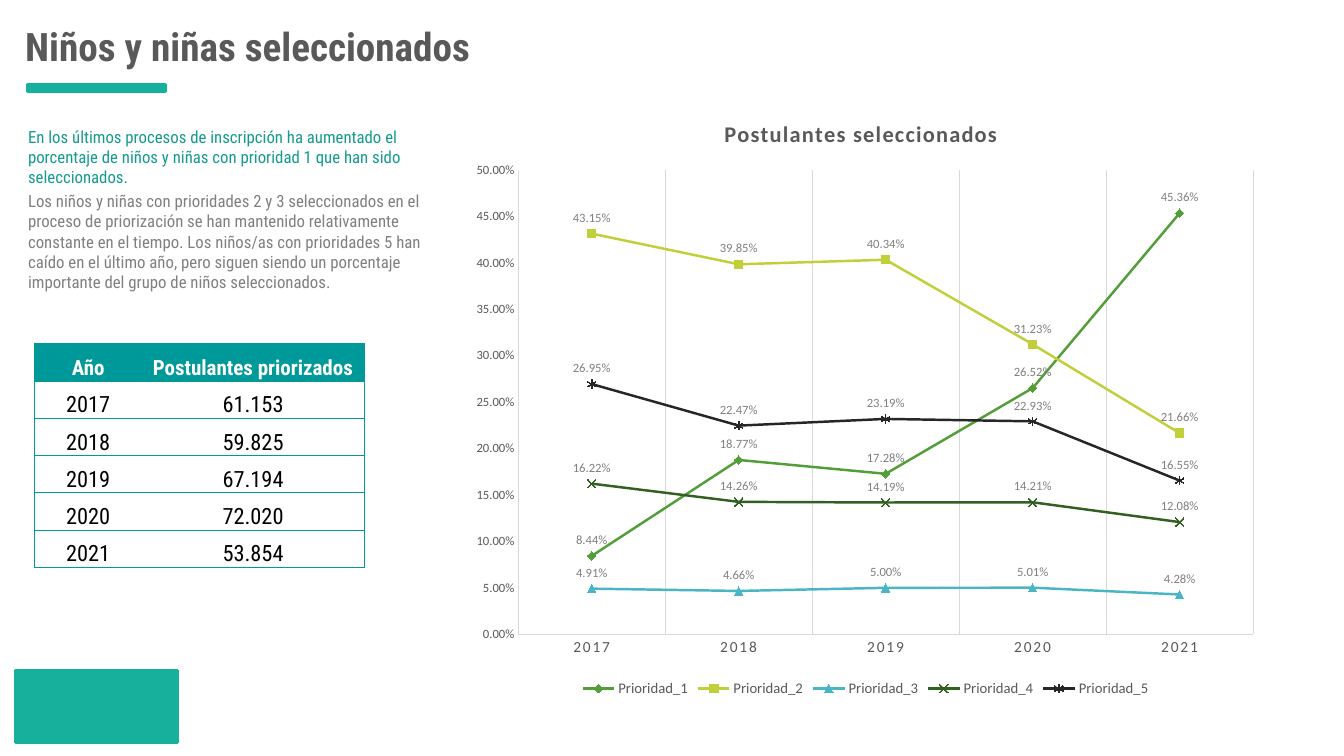
from lxml import etree
from pptx import Presentation
from pptx import util as u
from pptx.chart.data import CategoryChartData
from pptx.dml.color import RGBColor
from pptx.enum import chart as charts, shapes, text
from pptx.oxml import parse_xml
from pptx.oxml.ns import nsdecls, qn

PX = 9144  # 100 px to the inch
CONDENSED, CALIBRI = "Roboto Condensed", "Calibri"

GREEN = RGBColor(0x16, 0xB0, 0x9C)
TEXT_GREEN = RGBColor(0x15, 0x9B, 0x8E)
TABLE_GREEN = RGBColor(0x00, 0x99, 0x99)
DARK_GRAY = RGBColor(0x59, 0x59, 0x59)
GRAY = RGBColor(0x80, 0x80, 0x80)
LIGHT_GRAY = RGBColor(0xD9, 0xD9, 0xD9)
WHITE = RGBColor(0xFF, 0xFF, 0xFF)
BLACK = RGBColor(0x00, 0x00, 0x00)

YEARS = ["2017", "2018", "2019", "2020", "2021"]
APPLICANTS = ["61.153", "59.825", "67.194", "72.020", "53.854"]
MARKER = charts.XL_MARKER_STYLE
# Name, colour, marker, marker is filled, values
PRIORITIES = [
    ("Prioridad_1", RGBColor(0x54, 0x9E, 0x39), MARKER.DIAMOND, True,
     [0.0844, 0.1877, 0.1728, 0.2652, 0.4536]),
    ("Prioridad_2", RGBColor(0xC0, 0xCF, 0x3A), MARKER.SQUARE, True,
     [0.4315, 0.3985, 0.4034, 0.3123, 0.2166]),
    ("Prioridad_3", RGBColor(0x4A, 0xB5, 0xC4), MARKER.TRIANGLE, True,
     [0.0491, 0.0466, 0.0500, 0.0501, 0.0428]),
    ("Prioridad_4", RGBColor(0x32, 0x5F, 0x22), MARKER.X, False,
     [0.1622, 0.1426, 0.1419, 0.1421, 0.1208]),
    ("Prioridad_5", RGBColor(0x26, 0x26, 0x26), MARKER.STAR, False,
     [0.2695, 0.2247, 0.2319, 0.2293, 0.1655]),
]


def box(left, top, width, height):
    return [u.Emu(value * PX) for value in (left, top, width, height)]


def format_font(font, size, color, name=CALIBRI, bold=False):
    font.name, font.size, font.bold = name, u.Pt(size), bold
    font.color.rgb = color


def format_line(line, color, width):
    line.color.rgb = color
    line.width = u.Pt(width)


def write(paragraph, content, size, color, name=CONDENSED, bold=False,
          align=text.PP_ALIGN.LEFT, after=0):
    run = paragraph.add_run()
    run.text = content
    format_font(run.font, size, color, name, bold)
    paragraph.alignment = align
    paragraph.space_before, paragraph.space_after = u.Pt(0), u.Pt(after)
    return run


def add_bar(slide, *place):
    shape = slide.shapes.add_shape(shapes.MSO_SHAPE.RECTANGLE, *box(*place))
    shape.shadow.inherit = False
    shape.fill.solid()
    shape.fill.fore_color.rgb = GREEN
    format_line(shape.line, GREEN, 2)


def add_title(slide, content, *place):
    title = slide.shapes.title
    title.left, title.top, title.width, title.height = box(*place)
    frame = title.text_frame
    frame.vertical_anchor = text.MSO_ANCHOR.TOP
    frame.auto_size = text.MSO_AUTO_SIZE.SHAPE_TO_FIT_TEXT
    write(frame.paragraphs[0], content, 28, DARK_GRAY, bold=True)


def add_summary(slide, paragraphs, *place):
    frame = slide.shapes.add_textbox(*box(*place)).text_frame
    frame.word_wrap = True
    frame.vertical_anchor = text.MSO_ANCHOR.MIDDLE
    for index, (content, color) in enumerate(paragraphs):
        paragraph = frame.add_paragraph() if index else frame.paragraphs[0]
        write(paragraph, content, 12, color, after=3)


def set_borders(cell, visible):
    properties = cell._tc.get_or_add_tcPr()
    for position, side in enumerate("LRTB"):
        border = etree.Element(qn(f"a:ln{side}"), w=str(u.Pt(0.5)))
        if side in visible:
            fill = etree.SubElement(border, qn("a:solidFill"))
            etree.SubElement(fill, qn("a:srgbClr"), val=str(TABLE_GREEN))
        else:
            etree.SubElement(border, qn("a:noFill"))
        properties.insert(position, border)


def add_table(slide, rows, column_widths, row_height, left, top):
    place = box(left, top, sum(column_widths), row_height * len(rows))
    table = slide.shapes.add_table(len(rows), len(column_widths), *place).table
    table.first_row = table.horz_banding = False
    for column, width in zip(table.columns, column_widths):
        column.width = u.Emu(width * PX)
    for row_index, row in enumerate(rows):
        table.rows[row_index].height = u.Emu(row_height * PX)
        header = row_index == 0
        for column_index, content in enumerate(row):
            cell = table.cell(row_index, column_index)
            cell.margin_left = cell.margin_right = cell.margin_top = u.Emu(PX)
            cell.margin_bottom = 0
            cell.vertical_anchor = text.MSO_ANCHOR.BOTTOM
            if header:
                cell.fill.solid()
                cell.fill.fore_color.rgb = TABLE_GREEN
            else:
                cell.fill.background()
            set_borders(cell, "RTB" if column_index else "LTB")
            write(cell.text_frame.paragraphs[0], content, 15 if header else 16,
                  WHITE if header else BLACK, bold=header,
                  align=text.PP_ALIGN.CENTER)


def manual_layout(inner=False, **fractions):
    target = '<c:layoutTarget val="inner"/>' if inner else ""
    modes = "".join(f'<c:{key}Mode val="edge"/>' for key in "xy")
    sizes = "".join(f'<c:{key} val="{value}"/>' for key, value in fractions.items())
    return parse_xml(f'<c:layout {nsdecls("c")}><c:manualLayout>{target}{modes}'
                     f'{sizes}</c:manualLayout></c:layout>')


def replace_layout(parent, layout, position):
    for old in parent.findall(qn("c:layout")):
        parent.remove(old)
    parent.insert(position, layout)


def format_axis(axis, size):
    axis.major_tick_mark = axis.minor_tick_mark = charts.XL_TICK_MARK.NONE
    format_font(axis.tick_labels.font, size, DARK_GRAY)
    format_line(axis.format.line, LIGHT_GRAY, 0.75)


def format_series(series, color, marker, filled):
    series.smooth = False
    format_line(series.format.line, color, 1.75)
    series.marker.style, series.marker.size = marker, 6
    format_line(series.marker.format.line, color, 0.75)
    if filled:
        series.marker.format.fill.solid()
        series.marker.format.fill.fore_color.rgb = color
    else:
        series.marker.format.fill.background()
    labels = series.data_labels
    labels.show_value = True
    labels.position = charts.XL_LABEL_POSITION.ABOVE
    labels.number_format, labels.number_format_is_linked = "0.00%", False
    format_font(labels.font, 9, GRAY)


def add_line_chart(slide, title, *place):
    data = CategoryChartData(number_format="0.00%")
    data.categories = YEARS
    for name, _, _, _, values in PRIORITIES:
        data.add_series(name, values)
    chart = slide.shapes.add_chart(charts.XL_CHART_TYPE.LINE_MARKERS,
                                   *box(*place), data).chart
    format_font(chart.font, 10, BLACK)

    # Title with wide letter spacing
    chart.has_title = True
    heading = chart.chart_title
    run = write(heading.text_frame.paragraphs[0], title, 16, DARK_GRAY,
                CALIBRI, True, text.PP_ALIGN.CENTER)
    run.font._rPr.set("spc", "100")
    heading.include_in_layout = False
    replace_layout(heading._element, manual_layout(x=0.32, y=0.04), 1)

    # Axes and plot area
    format_axis(chart.category_axis, 11)
    chart.category_axis.tick_labels.font._rPr.set("spc", "120")
    chart.category_axis.has_major_gridlines = True
    format_line(chart.category_axis.major_gridlines.format.line, LIGHT_GRAY, 0.75)
    format_axis(chart.value_axis, 9)
    chart.value_axis.has_major_gridlines = False
    chart.value_axis.minimum_scale, chart.value_axis.maximum_scale = 0, 0.5
    chart.value_axis.major_unit = 0.05
    tick_labels = chart.value_axis.tick_labels
    tick_labels.number_format, tick_labels.number_format_is_linked = "0.00%", False
    plot_area = chart._chartSpace.chart.plotArea
    replace_layout(plot_area, manual_layout(True, x=0.07, y=0.13, w=0.91, h=0.76), 0)

    # Legend and series
    chart.has_legend = True
    chart.legend.position = charts.XL_LEGEND_POSITION.BOTTOM
    chart.legend.include_in_layout = False
    format_font(chart.legend.font, 10.5, DARK_GRAY)
    chart.plots[0].vary_by_categories = False
    for series, (_, color, marker, filled, _) in zip(chart.plots[0].series, PRIORITIES):
        format_series(series, color, marker, filled)


def main():
    presentation = Presentation()
    presentation.slide_width, presentation.slide_height = 1333 * PX, 750 * PX
    slide = presentation.slides.add_slide(presentation.slide_layouts[5])
    add_bar(slide, 15, 665, 161, 72)
    add_bar(slide, 27, 84, 137, 7)
    add_title(slide, "Niños y niñas seleccionados", 15, 17, 513, 57)
    add_summary(slide, [
        ("En los últimos procesos de inscripción ha aumentado el porcentaje de niños "
         "y niñas con prioridad 1 que han sido seleccionados.", TEXT_GREEN),
        ("Los niños y niñas con prioridades 2 y 3 seleccionados en el proceso de "
         "priorización se han mantenido relativamente constante en el tiempo. Los "
         "niños/as con prioridades 5 han caído en el último año, pero siguen siendo "
         "un porcentaje importante del grupo de niños seleccionados.", GRAY),
    ], 18, 106, 432, 203)
    add_line_chart(slide, "Postulantes seleccionados", 458, 90, 801, 606)
    rows = [("Año", "Postulantes priorizados"), *zip(YEARS, APPLICANTS)]
    add_table(slide, rows, (107, 220), 37, 34, 341)
    presentation.save("out.pptx")


if __name__ == "__main__":
    main()
